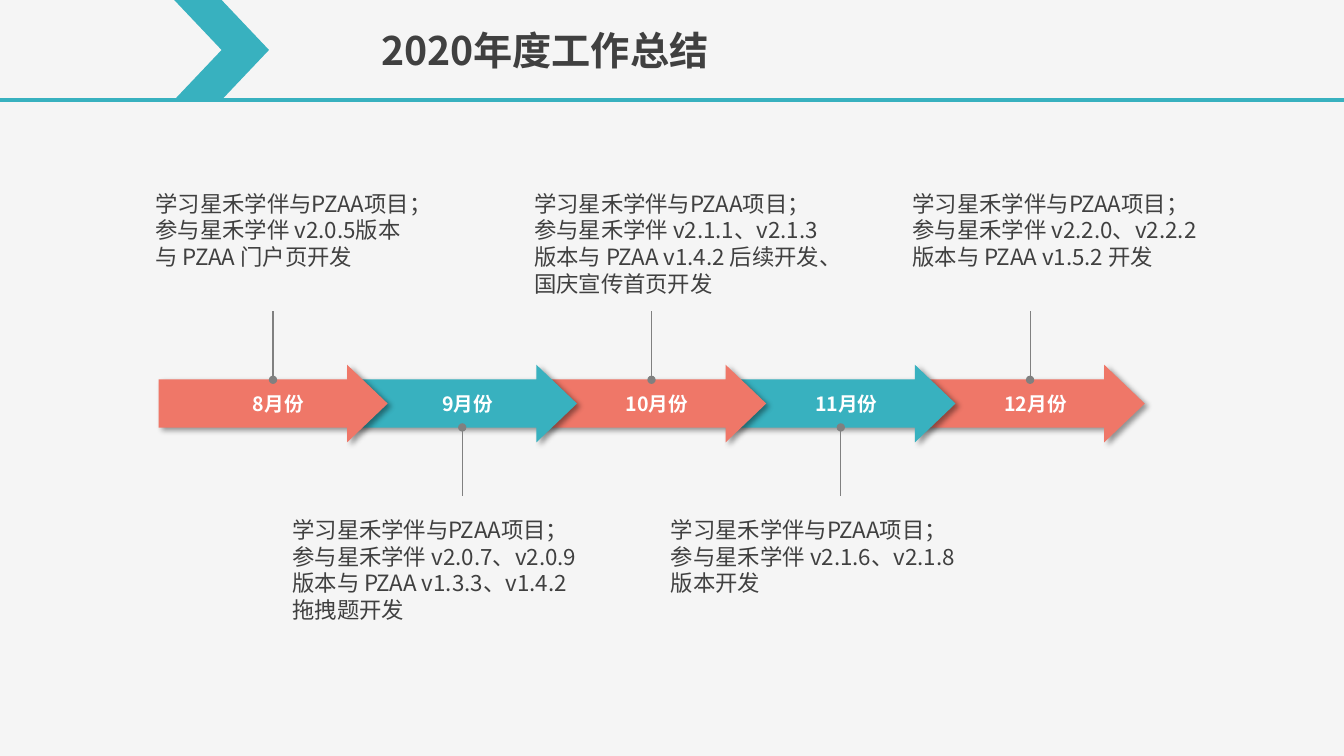
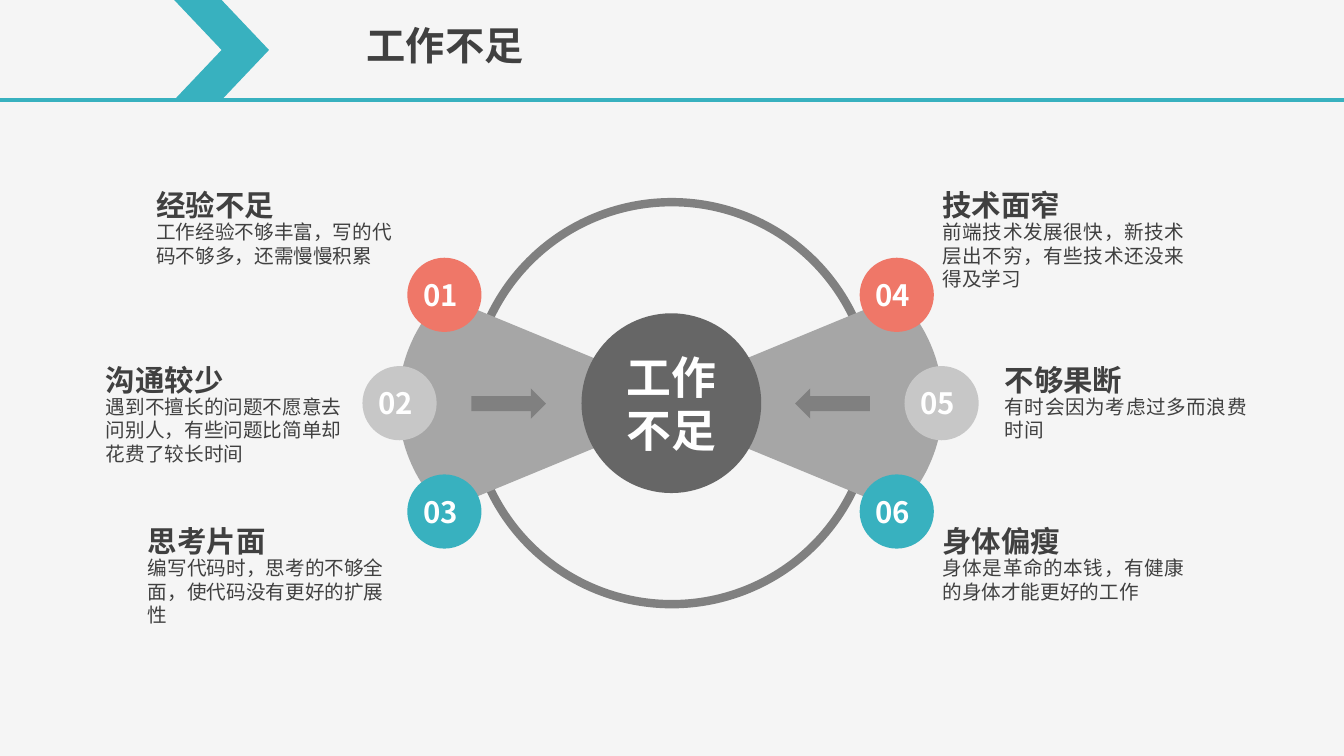
from math import cos, radians, sin
from lxml.etree import SubElement
from pptx import Presentation
from pptx.dml.color import RGBColor
from pptx.enum.shapes import MSO_CONNECTOR, MSO_SHAPE
from pptx.enum.text import MSO_ANCHOR, MSO_AUTO_SIZE, PP_ALIGN
from pptx.oxml.ns import qn
from pptx.util import Cm, Pt

# Shared look
FONT = "Noto Sans CJK SC"
PAPER, INK, WHITE = "F5F5F5", "404040", "FFFFFF"
TEAL, CORAL = "38B1BF", "EF7768"
GREY, DARK, MID, PALE = "808080", "666666", "A6A6A6", "C7C7C7"
WIDE, HIGH = 33.87, 19.05
BAND = 2.52

# Timeline: month, text, box width
START, STEP, AXIS = 4.0, 4.77, 10.17
INTRO = "学习星禾学伴与PZAA项目；参与星禾学伴 "
MONTHS = [
    ("8月份", "v2.0.5版本与 PZAA 门户页开发", 6.6),
    ("9月份", "v2.0.7、v2.0.9 版本与 PZAA v1.3.3、v1.4.2 拖拽题开发", 7.34),
    ("10月份", "v2.1.1、v2.1.3 版本与 PZAA v1.4.2 后续开发、国庆宣传首页开发", 7.34),
    ("11月份", "v2.1.6、v2.1.8 版本开发", 7.34),
    ("12月份", "v2.2.0、v2.2.2 版本与 PZAA v1.5.2 开发", 7.34),
]

# Wheel: rows run from top to bottom, left side first
MIDX, MIDY = 16.9, 10.16
ROWS = [(5.7, -2.73, CORAL, 4.72), (6.83, 0, PALE, 9.12), (5.7, 2.73, TEAL, 13.18)]
LEFT = [
    (3.94, "经验不足", "工作经验不够丰富，写的代码不够多，还需慢慢积累"),
    (2.67, "沟通较少", "遇到不擅长的问题不愿意去问别人，有些问题比简单却花费了较长时间"),
    (3.73, "思考片面", "编写代码时，思考的不够全面，使代码没有更好的扩展性"),
]
RIGHT = [
    (23.75, "技术面窄", "前端技术发展很快，新技术层出不穷，有些技术还没来得及学习"),
    (25.32, "不够果断", "有时会因为考虑过多而浪费时间"),
    (23.75, "身体偏瘦", "身体是革命的本钱，有健康的身体才能更好的工作"),
]


def rgb(code):
    return RGBColor.from_string(code)


def write(frame, parts, size, color=INK, bold=False, align=PP_ALIGN.LEFT):
    """Fill the first paragraph of a frame, one run per part."""
    frame.word_wrap = True
    frame.auto_size = MSO_AUTO_SIZE.NONE
    para = frame.paragraphs[0]
    para.alignment = align
    para.line_spacing = Pt(round(size * 1.2, 1))
    for part in parts:
        run = para.add_run()
        run.text = part
        font = run.font
        font.size, font.bold, font.name = Pt(size), bold, FONT
        font.color.rgb = rgb(color)
        SubElement(run._r.get_or_add_rPr(), qn("a:ea"), typeface=FONT)


def inset(frame, left=0, right=0):
    frame.margin_left, frame.margin_right = Cm(left), Cm(right)
    frame.margin_top = frame.margin_bottom = 0


def note(slide, x, y, w, h, parts, size, **style):
    frame = slide.shapes.add_textbox(Cm(x), Cm(y), Cm(w), Cm(h)).text_frame
    inset(frame)
    write(frame, parts, size, **style)


def paint(shape, color):
    shape.shadow.inherit = False
    shape.fill.solid()
    shape.fill.fore_color.rgb = rgb(color)
    shape.line.fill.background()


def block(slide, kind, x, y, w, h, color):
    shape = slide.shapes.add_shape(kind, Cm(x), Cm(y), Cm(w), Cm(h))
    paint(shape, color)
    return shape


def disc(slide, x, y, size, color):
    """Draw a circle around its centre."""
    return block(slide, MSO_SHAPE.OVAL, x - size / 2, y - size / 2, size, size, color)


def label(shape, text, size, left=0, right=0):
    frame = shape.text_frame
    inset(frame, left, right)
    frame.vertical_anchor = MSO_ANCHOR.MIDDLE
    write(frame, [text], size, WHITE, True, PP_ALIGN.CENTER)


def rule(slide, x1, y1, x2, y2, color, width, dot=False):
    line = slide.shapes.add_connector(
        MSO_CONNECTOR.STRAIGHT, Cm(x1), Cm(y1), Cm(x2), Cm(y2))
    line.line.color.rgb = rgb(color)
    line.line.width = Pt(width)
    if dot:
        SubElement(line.line._get_or_add_ln(), qn("a:headEnd"), type="oval")
    SubElement(line.element.spPr, qn("a:effectLst"))
    return line


def shade(shape):
    """Cast a soft shadow down to the right."""
    list_ = shape.element.spPr.find(qn("a:effectLst"))
    cast = SubElement(list_, qn("a:outerShdw"), blurRad=str(Pt(4)), dist=str(Pt(3)),
                      dir="2700000", algn="tl", rotWithShape="0")
    tone = SubElement(cast, qn("a:srgbClr"), val="000000")
    SubElement(tone, qn("a:alpha"), val="40000")


def dress(deck, layout, slide):
    """Set the background and move the header band into the layout."""
    back = deck.slide_master.background.fill
    back.solid()
    back.fore_color.rgb = rgb(PAPER)
    band = [rule(slide, 0, BAND, WIDE, BAND, TEAL, 2.25),
            block(slide, MSO_SHAPE.CHEVRON, 4.39, 0, 2.39, BAND, TEAL)]
    for num, part in enumerate(band):
        part.element.xpath(".//p:cNvPr")[0].set("id", str(100 + num))
        layout.shapes.element.insert(2 + num, part.element)


def head(slide, x, y, parts):
    title = slide.shapes.title
    title.left, title.top, title.width, title.height = Cm(x), Cm(y), Cm(11.33), Cm(1.45)
    write(title.text_frame, parts, 28, bold=True)


def months(slide):
    head(slide, 9.35, 0.53, ["2020", "年度工作总结"])
    # Arrows, the last one at the back
    for num in reversed(range(len(MONTHS))):
        arrow = block(slide, MSO_SHAPE.RIGHT_ARROW, START + num * STEP, AXIS - 0.98,
                      5.77, 1.96, TEAL if num % 2 else CORAL)
        arrow.adjustments[0], arrow.adjustments[1] = 0.621, 0.522
        shade(arrow)
        label(arrow, MONTHS[num][0], 14, left=0.9)
    # Pins and notes, above and below by turns
    for num, (_, text, width) in enumerate(MONTHS):
        x = START + num * STEP
        side, shift, top = (1, -1.4, 13.0) if num % 2 else (-1, -0.08, 4.78)
        pin = x + 2.88
        rule(slide, pin, AXIS + side * 0.6, pin, AXIS + side * 2.33, GREY, 0.75, True)
        note(slide, x + shift, top, width, 2.74, [INTRO, text], 16)


def wedge(slide, side):
    """Draw a sector with a rounded outer edge; side is -1 or 1."""
    hub, size = 3.11, 3.75
    arc = [(Cm(MIDX + side * (hub + size * cos(radians(deg)))),
            Cm(MIDY + size * sin(radians(deg)))) for deg in range(-46, 47, 2)]
    pen = slide.shapes.build_freeform(Cm(MIDX - side * 0.82), Cm(MIDY))
    pen.add_line_segments(arc, close=True)
    paint(pen.convert_to_shape(), MID)


def wheel(slide):
    head(slide, 8.99, 0.41, ["工作不足"])
    ring = disc(slide, MIDX + 0.03, MIDY, 10.13, PAPER)
    ring.fill.background()
    ring.line.color.rgb = rgb(GREY)
    ring.line.width = Pt(6)
    # Sides: wedge, arrow, badges and notes
    sides = [(-1, LEFT, MSO_SHAPE.RIGHT_ARROW, PP_ALIGN.LEFT),
             (1, RIGHT, MSO_SHAPE.LEFT_ARROW, PP_ALIGN.JUSTIFY)]
    for part, (side, items, kind, align) in enumerate(sides):
        wedge(slide, side)
        block(slide, kind, MIDX + side * 4.08 - 0.94, MIDY - 0.37, 1.88, 0.76, GREY)
        for num, (row, item) in enumerate(zip(ROWS, items), part * 3 + 1):
            reach, drop, color, top = row
            x, name, text = item
            badge = disc(slide, MIDX + side * reach, MIDY + drop, 1.87, color)
            label(badge, f"{num:02}", 21, right=0.2)
            note(slide, x, top, 6.1, 0.89, [name], 21, bold=True)
            note(slide, x, top + 0.83, 6.1, 1.8, [text], 14, align=align)
    # Hub
    label(disc(slide, MIDX + 0.02, MIDY, 4.53, DARK), "工作不足", 32)


def main():
    deck = Presentation()
    deck.slide_width, deck.slide_height = Cm(WIDE), Cm(HIGH)
    layout = deck.slide_layouts[5]
    first, last = [deck.slides.add_slide(layout) for _ in range(2)]
    dress(deck, layout, first)
    months(first)
    wheel(last)
    deck.save("out.pptx")


if __name__ == "__main__":
    main()
